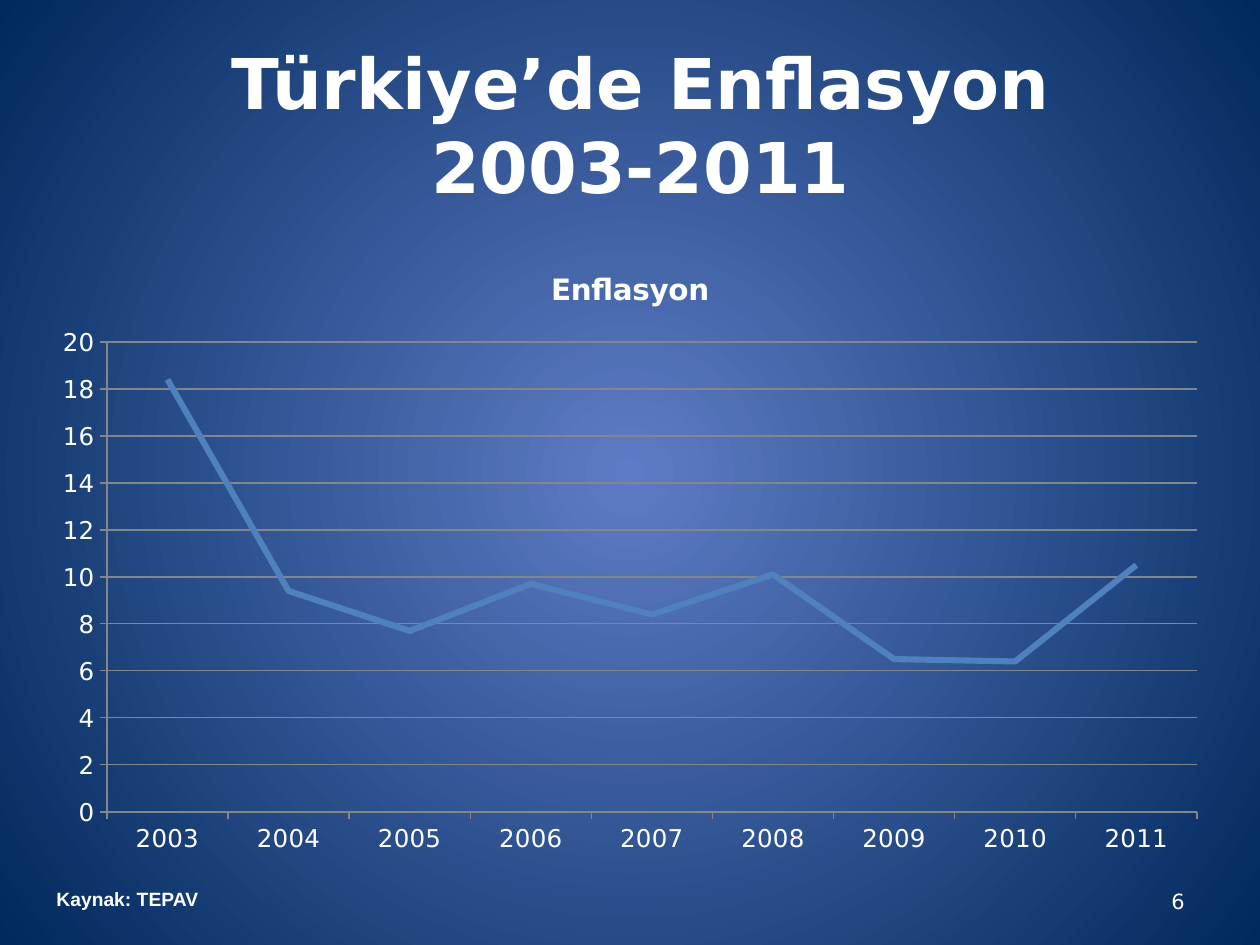
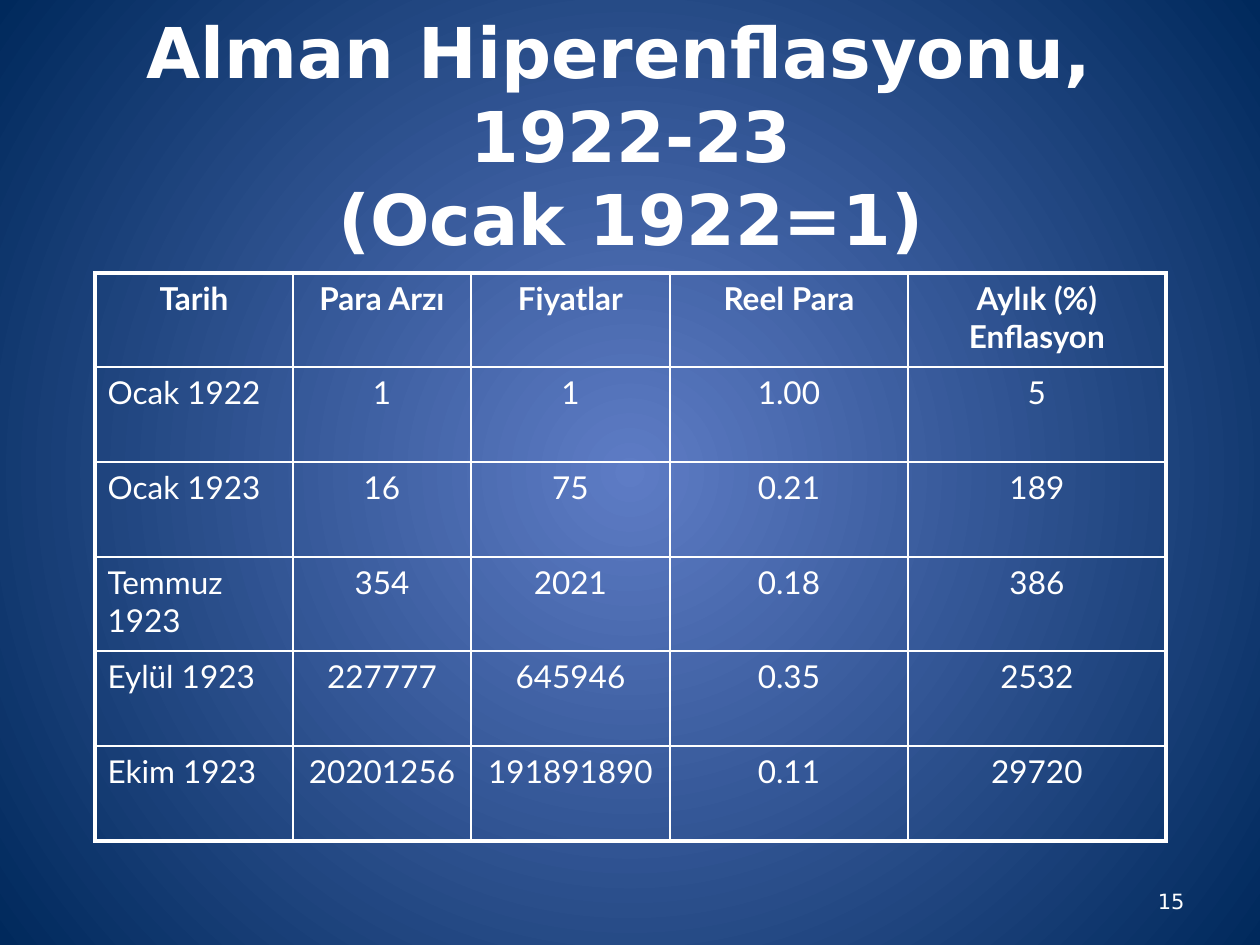
from lxml import etree
from pptx import Presentation
from pptx.chart.data import CategoryChartData
from pptx.dml.color import RGBColor
from pptx.enum.chart import XL_CHART_TYPE, XL_TICK_MARK
from pptx.enum.text import MSO_ANCHOR, MSO_AUTO_SIZE, PP_ALIGN
from pptx.oxml import parse_xml
from pptx.oxml.ns import nsdecls, qn
from pptx.util import Emu, Pt

PX_PER_INCH = 126
COLORS = {
    "text": "FFFFFF",
    "glow": "5E7CC5",
    "edge": "00295C",
    "inflation": "4F81BD",
    "axis": "868686",
}
HEADING_FONT, SOURCE_FONT, TABLE_FONT = "DejaVu Sans", "Arial", "Lato"

YEARS = [str(year) for year in range(2003, 2012)]
INFLATION = [18.4, 9.4, 7.7, 9.7, 8.4, 10.1, 6.5, 6.4, 10.5]

COLUMN_WIDTHS = [198, 178, 199, 238, 258]
HYPERINFLATION = [
    ["Tarih", "Para Arzı", "Fiyatlar", "Reel Para", "Aylık (%) Enflasyon"],
    ["Ocak 1922", "1", "1", "1.00", "5"],
    ["Ocak 1923", "16", "75", "0.21", "189"],
    ["Temmuz 1923", "354", "2021", "0.18", "386"],
    ["Eylül 1923", "227777", "645946", "0.35", "2532"],
    ["Ekim 1923", "20201256", "191891890", "0.11", "29720"],
]


def px(length):
    return Emu(round(length * 914400 / PX_PER_INCH))


def rgb(name):
    return RGBColor.from_string(COLORS[name])


def style_font(font, face, size, bold=False):
    font.name, font.size, font.bold = face, Pt(size), bold
    font.color.rgb = rgb("text")


def add_run(paragraph, text, face, size, bold=False):
    run = paragraph.add_run()
    run.text = text
    style_font(run.font, face, size, bold)


def paint_background(master):
    """Radial glow that every slide inherits."""
    fill = master.background.fill
    fill.gradient()
    for stop, name in zip(fill.gradient_stops, ("glow", "edge")):
        stop.color.rgb = rgb(name)
    gradient = master.element.find(".//" + qn("a:gradFill"))
    gradient.remove(gradient.find(qn("a:lin")))
    gradient.append(parse_xml(
        f'<a:path {nsdecls("a")} path="circle">'
        '<a:fillToRect l="50000" t="50000" r="50000" b="50000"/></a:path>'))


def set_title(slide, box, lines):
    title = slide.shapes.title
    title.left, title.top, title.width, title.height = map(px, box)
    frame = title.text_frame
    frame.word_wrap = True
    frame.auto_size = MSO_AUTO_SIZE.NONE
    frame.vertical_anchor = MSO_ANCHOR.MIDDLE
    paragraph = frame.paragraphs[0]
    paragraph.alignment = PP_ALIGN.CENTER
    for index, line in enumerate(lines):
        if index:
            paragraph.add_line_break()
        add_run(paragraph, line, HEADING_FONT, 40, True)


def add_label(slide, box, text, face, size, bold=False,
              align=PP_ALIGN.LEFT, anchor=MSO_ANCHOR.TOP):
    frame = slide.shapes.add_textbox(*map(px, box)).text_frame
    frame.word_wrap = True
    frame.vertical_anchor = anchor
    paragraph = frame.paragraphs[0]
    paragraph.alignment = align
    add_run(paragraph, text, face, size, bold)


def add_page_number(slide, number):
    add_label(slide, (903, 876, 294, 50), str(number), HEADING_FONT, 12,
              align=PP_ALIGN.RIGHT, anchor=MSO_ANCHOR.MIDDLE)


def place_plot(chart, chart_box, plot_box):
    """Fix the inner plot area, given in px from the chart's corner."""
    plot_area = chart.element.find(".//" + qn("c:plotArea"))
    for old in plot_area.findall(qn("c:layout")):
        plot_area.remove(old)
    layout = parse_xml(f'<c:layout {nsdecls("c")}><c:manualLayout/></c:layout>')
    settings = [("layoutTarget", "inner"), ("xMode", "edge"), ("yMode", "edge")]
    width, height = chart_box[2:]
    for tag, length, whole in zip("xywh", plot_box, (width, height) * 2):
        settings.append((tag, f"{length / whole:.4f}"))
    for tag, value in settings:
        etree.SubElement(layout[0], qn(f"c:{tag}"), val=value)
    plot_area.insert(0, layout)


def add_inflation_chart(slide, box):
    data = CategoryChartData()
    data.categories = YEARS
    data.add_series("Enflasyon", INFLATION)
    chart = slide.shapes.add_chart(
        XL_CHART_TYPE.LINE, *map(px, box), data).chart
    style_font(chart.font, HEADING_FONT, 14)
    chart.has_legend = False
    chart.has_title = True
    add_run(chart.chart_title.text_frame.paragraphs[0], "Enflasyon",
            HEADING_FONT, 16.8, True)
    place_plot(chart, box, (68, 96, 1090, 470))

    values = chart.value_axis
    values.minimum_scale, values.maximum_scale, values.major_unit = 0, 20, 2
    values.has_major_gridlines = True
    for axis in (values, chart.category_axis):
        axis.major_tick_mark = XL_TICK_MARK.OUTSIDE
    for part in (values, chart.category_axis, values.major_gridlines):
        part.format.line.color.rgb = rgb("axis")
        part.format.line.width = Pt(0.75)

    chart.plots[0].vary_by_categories = False
    series = chart.plots[0].series[0]
    series.smooth = False
    series.format.line.color.rgb = rgb("inflation")
    series.format.line.width = Pt(3.5)


def set_borders(cell, outer_sides):
    properties = cell._tc.get_or_add_tcPr()
    for position, side in enumerate("LRTB"):
        width = Pt(2.25 if side in outer_sides else 1)
        properties.insert(position, parse_xml(
            f'<a:ln{side} {nsdecls("a")} w="{width}"><a:solidFill>'
            f'<a:srgbClr val="{COLORS["text"]}"/></a:solidFill></a:ln{side}>'))


def add_hyperinflation_table(slide, box):
    row_count, column_count = len(HYPERINFLATION), len(COLUMN_WIDTHS)
    table = slide.shapes.add_table(
        row_count, column_count, *map(px, box)).table
    table.first_row = table.horz_banding = False
    for column, width in zip(table.columns, COLUMN_WIDTHS):
        column.width = px(width)
    height = box[3]
    for r, entries in enumerate(HYPERINFLATION):
        table.rows[r].height = px(
            height * (r + 1) // row_count - height * r // row_count)
        for c, entry in enumerate(entries):
            cell = table.cell(r, c)
            cell.fill.background()
            outer = {"L": c == 0, "R": c == column_count - 1,
                     "T": r == 0, "B": r == row_count - 1}
            set_borders(cell, [side for side in outer if outer[side]])
            paragraph = cell.text_frame.paragraphs[0]
            is_date = r > 0 and c == 0
            paragraph.alignment = PP_ALIGN.LEFT if is_date else PP_ALIGN.CENTER
            add_run(paragraph, entry, TABLE_FONT, 18, r == 0)


def build_inflation_slide(slide):
    set_title(slide, (105, 45, 1071, 158),
              ["Türkiye’de Enflasyon", "2003-2011"])
    add_page_number(slide, 6)
    add_label(slide, (44, 881, 446, 37), "Kaynak: TEPAV", SOURCE_FONT, 11, True)
    add_inflation_chart(slide, (39, 246, 1182, 620))


def build_hyperinflation_slide(slide):
    set_title(slide, (64, 55, 1134, 158),
              ["Alman Hiperenflasyonu, ", "1922-23", "(Ocak 1922=1)"])
    add_hyperinflation_table(slide, (95, 273, sum(COLUMN_WIDTHS), 568))
    add_page_number(slide, 15)


def main():
    deck = Presentation()
    deck.slide_width, deck.slide_height = px(1260), px(945)
    paint_background(deck.slide_master)
    title_only = deck.slide_layouts[5]
    for build in (build_inflation_slide, build_hyperinflation_slide):
        build(deck.slides.add_slide(title_only))
    deck.save("out.pptx")


if __name__ == "__main__":
    main()
